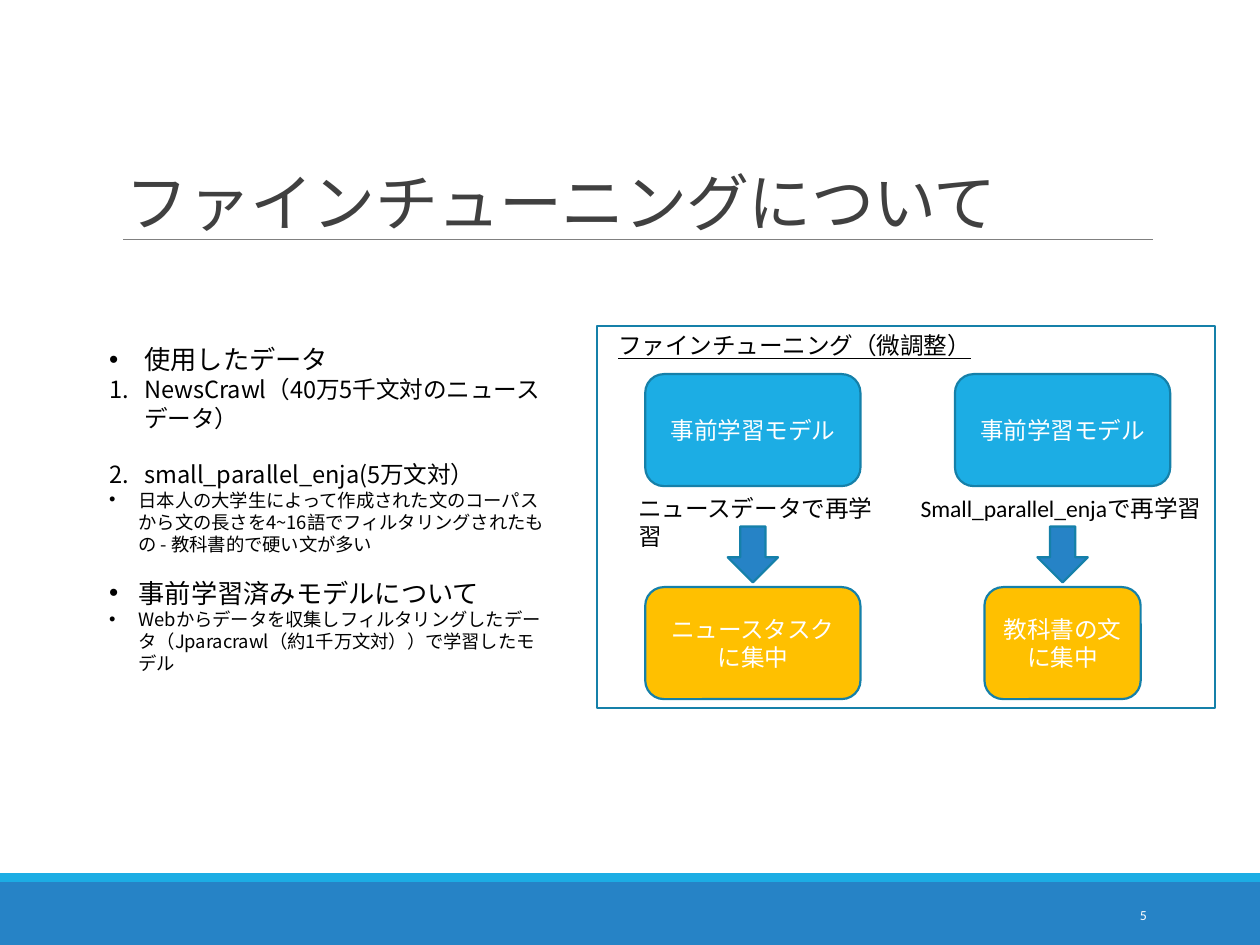
from dataclasses import dataclass

from lxml.etree import SubElement
from pptx import Presentation
from pptx.dml.color import RGBColor
from pptx.enum.shapes import MSO_CONNECTOR, MSO_SHAPE
from pptx.enum.text import MSO_ANCHOR, PP_ALIGN
from pptx.oxml.ns import qn
from pptx.util import Pt


@dataclass(frozen=True)
class Theme:
    sky: str = "1CADE4"
    blue: str = "2683C6"
    edge: str = "1580A9"
    gold: str = "FFC000"
    grey: str = "808080"
    dark: str = "404040"
    black: str = "000000"
    white: str = "FFFFFF"
    latin: str = "Calibri"
    asian: str = "Noto Sans CJK JP"
    title: float = 36
    head: float = 15
    body: float = 13.5
    small: float = 10.5
    page: float = 7.9
    lead: float = 1.2


T = Theme()
INSET = (5.4, 2.7, 5.4, 2.7)


def color(code):
    return RGBColor.from_string(code)


def add_run(para, text, size, tint, face=T.latin):
    run = para.add_run()
    run.text = text
    font = run.font
    font.size, font.name = Pt(size), face
    font.color.rgb = color(tint)
    SubElement(font._element, qn("a:ea")).set("typeface", T.asian)
    return run


def set_frame(shape, inset, anchor):
    frame = shape.text_frame
    frame.word_wrap = True
    frame.vertical_anchor = anchor
    (frame.margin_left, frame.margin_top,
     frame.margin_right, frame.margin_bottom) = map(Pt, inset)
    return frame


def add_text(slide, box, text, size, tint, align=PP_ALIGN.LEFT,
             anchor=MSO_ANCHOR.TOP, inset=INSET, lead=T.lead):
    shape = slide.shapes.add_textbox(*map(Pt, box))
    para = set_frame(shape, inset, anchor).paragraphs[0]
    para.alignment = align
    para.line_spacing = Pt(size * lead)
    return add_run(para, text, size, tint)


def add_block(slide, kind, box, fill=None, line=None, text=None):
    shape = slide.shapes.add_shape(kind, *map(Pt, box))
    shape.shadow.inherit = False
    if fill:
        shape.fill.solid()
        shape.fill.fore_color.rgb = color(fill)
    else:
        shape.fill.background()
    if line:
        shape.line.color.rgb = color(line)
        shape.line.width = Pt(1.25)
    else:
        shape.line.fill.background()
    if text:
        para = set_frame(shape, INSET, MSO_ANCHOR.MIDDLE).paragraphs[0]
        para.alignment = PP_ALIGN.CENTER
        para.line_spacing = Pt(T.body * T.lead)
        add_run(para, text, T.body, T.white)
    return shape


def add_rule(slide, left, right, top):
    rule = slide.shapes.add_connector(
        MSO_CONNECTOR.STRAIGHT, Pt(left), Pt(top), Pt(right), Pt(top))
    rule.line.color.rgb = color(T.grey)
    rule.line.width = Pt(0.5)
    SubElement(rule._element.spPr, qn("a:effectLst"))


def set_mark(para, indent, number):
    """Give the paragraph a hanging bullet, or a number if there is one."""
    props = para._p.get_or_add_pPr()
    props.set("marL", str(Pt(indent)))
    props.set("indent", str(-Pt(indent)))
    if number:
        mark = SubElement(props, qn("a:buAutoNum"))
        mark.set("type", "arabicPeriod")
        mark.set("startAt", str(number))
    else:
        SubElement(props, qn("a:buFont")).set("typeface", "Arial")
        SubElement(props, qn("a:buChar")).set("char", "•")


def add_list(slide, box, items):
    shape = slide.shapes.add_textbox(*map(Pt, box))
    frame = set_frame(shape, INSET, MSO_ANCHOR.TOP)
    for spot, (text, size, indent, number, gap) in enumerate(items):
        para = frame.add_paragraph() if spot else frame.paragraphs[0]
        set_mark(para, indent, number)
        para.line_spacing = Pt(size * T.lead)
        para.space_before = Pt(gap)
        add_run(para, text, size, T.black, T.asian)


def add_flow(slide, mid, note, note_left, note_wide, goal, goal_wide):
    """Draw one column: model, retraining note, arrow, goal."""
    wide, high = 123, 64
    add_block(slide, MSO_SHAPE.ROUNDED_RECTANGLE,
              (mid - wide / 2, 213.8, wide, high), T.sky, T.edge,
              "事前学習モデル")
    add_block(slide, MSO_SHAPE.ROUNDED_RECTANGLE,
              (mid - goal_wide / 2, 335.5, goal_wide, high), T.gold, T.edge,
              goal)
    arrow = add_block(slide, MSO_SHAPE.RIGHT_ARROW,
                      (mid - 16, 302.4, 32, 28.8), T.blue, T.edge)
    arrow.rotation = 90
    add_text(slide, (note_left, 279.4, note_wide, 21.6), note,
             T.body, T.black)


def main():
    deck = Presentation()
    deck.slide_width, deck.slide_height = Pt(720), Pt(540)
    slide = deck.slides.add_slide(deck.slide_layouts[6])

    add_block(slide, MSO_SHAPE.RECTANGLE, (0, 504, 720, 36), T.blue)
    add_block(slide, MSO_SHAPE.RECTANGLE, (0, 499, 720, 5), T.sky)
    add_rule(slide, 70.5, 659, 136.8)
    title = add_text(slide, (64.8, 22.3, 594, 114.5),
                     "ファインチューニングについて", T.title, T.dark,
                     anchor=MSO_ANCHOR.BOTTOM, inset=(7.2, 3.6, 7.2, 0),
                     lead=1.04)
    title.font._element.set("spc", "-40")
    add_text(slide, (584.6, 508.3, 77.8, 28.8), "5", T.page, T.white,
             PP_ALIGN.RIGHT, MSO_ANCHOR.MIDDLE, (7.2, 3.6, 7.2, 3.6))

    wide, slim = 20.25, 16.9
    add_list(slide, (56.9, 193.7, 262, 196.6), [
        ("使用したデータ", T.head, wide, None, 0),
        ("NewsCrawl（40万5千文対のニュースデータ）", T.body, wide, 1, 0),
        ("small_parallel_enja(5万文対）", T.body, wide, 2, T.body * T.lead),
        ("日本人の大学生によって作成された文のコーパスから文の長さを"
         "4~16語でフィルタリングされたもの - 教科書的で硬い文が多い",
         T.small, slim, None, 0),
        ("事前学習済みモデルについて", T.head, slim, None, T.small * T.lead),
        ("Webからデータを収集しフィルタリングしたデータ"
         "（Jparacrawl（約1千万文対））で学習したモデル",
         T.small, slim, None, 0),
    ])

    add_block(slide, MSO_SHAPE.RECTANGLE, (341.3, 186.5, 353, 218.2),
              line=T.edge)
    label = add_text(slide, (347.8, 186.5, 276.5, 21.6),
                     "ファインチューニング（微調整）", T.body, T.black)
    label.font.underline = True
    add_flow(slide, 430.2, "ニュースデータで再学習", 359.3, 151.2,
             "ニュースタスクに集中", 123)
    add_flow(slide, 607.2, "Small_parallel_enjaで再学習", 520.6, 173.5,
             "教科書の文に集中", 89.3)
    deck.save("out.pptx")


if __name__ == "__main__":
    main()
